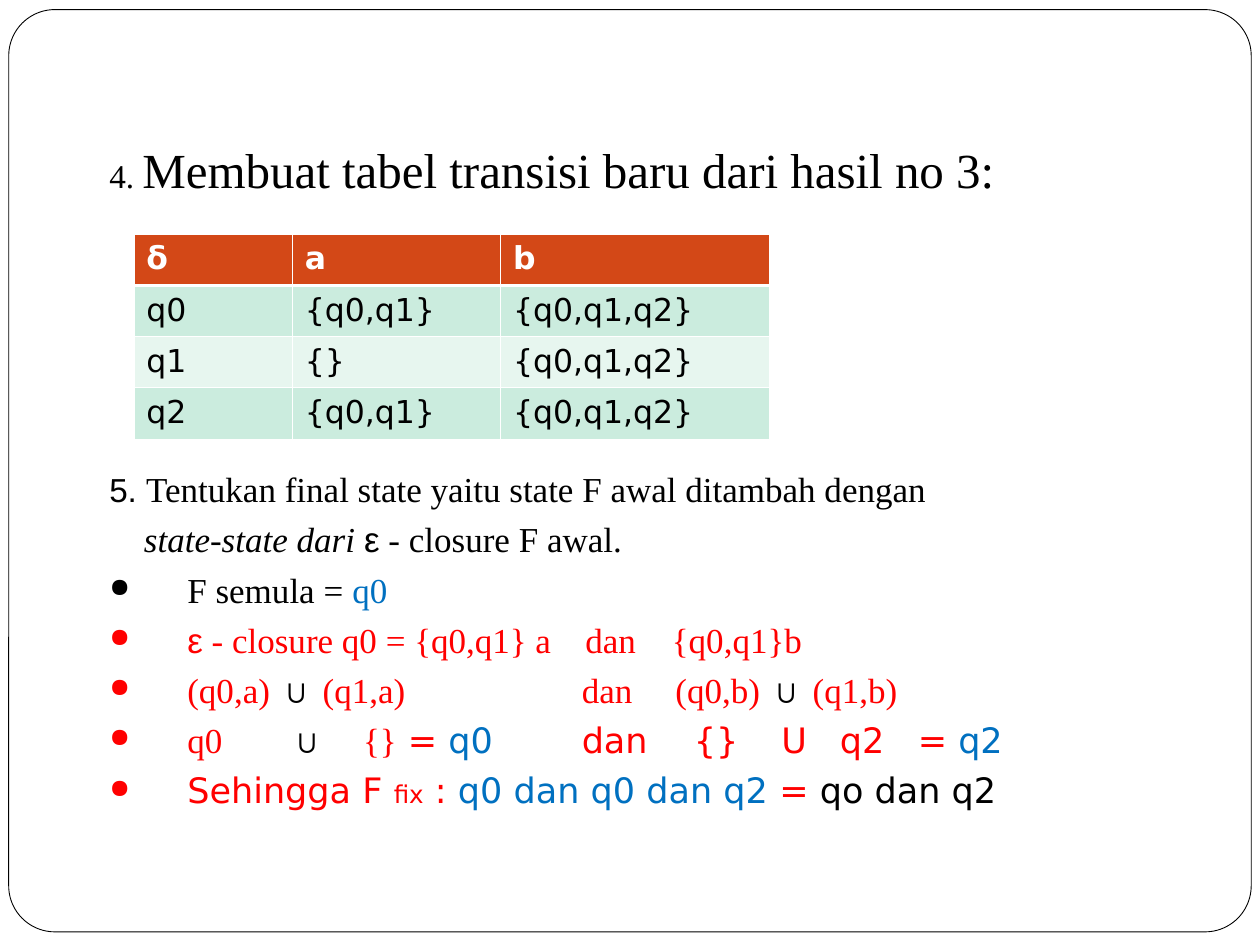
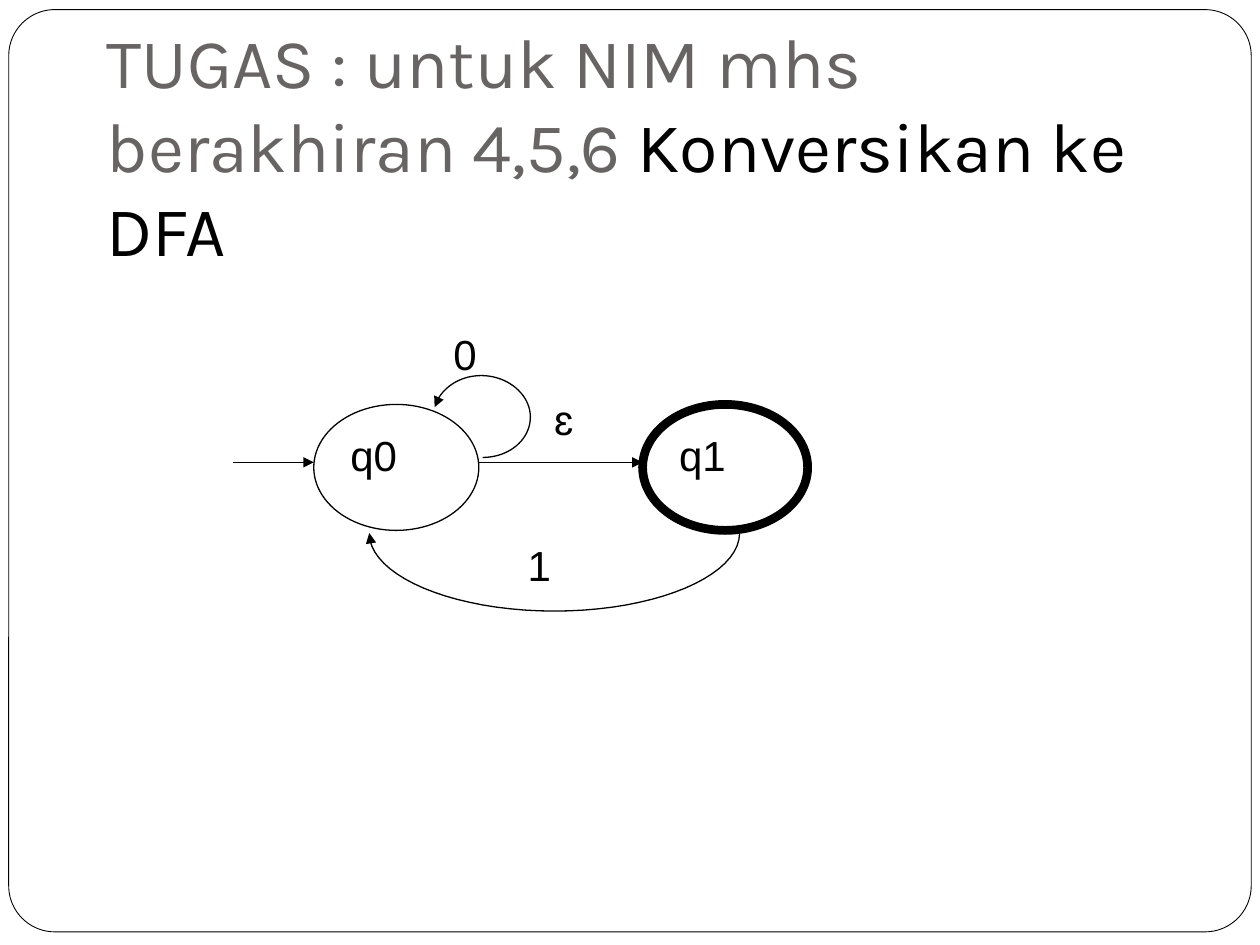
from pptx import Presentation
from pptx.dml.color import RGBColor
from pptx.enum.shapes import MSO_CONNECTOR, MSO_SHAPE
from pptx.enum.text import MSO_ANCHOR
from pptx.oxml import parse_xml
from pptx.oxml.ns import nsdecls
from pptx.oxml.xmlchemy import OxmlElement as Element
from pptx.util import Pt

BLACK = RGBColor(0x00, 0x00, 0x00)
WHITE = RGBColor(0xFF, 0xFF, 0xFF)
RED = RGBColor(0xFF, 0x00, 0x00)
BLUE = RGBColor(0x00, 0x70, 0xC0)
GRAY = RGBColor(0x69, 0x64, 0x64)
ORANGE = RGBColor(0xD3, 0x48, 0x17)
MINT = RGBColor(0xCB, 0xEC, 0xDE)
PALE_MINT = RGBColor(0xE7, 0xF6, 0xEF)
SERIF, SANS, WIDE, TITLE = "Times New Roman", "Arial", "DejaVu Sans", "Karla"


def add_text(paragraph, text, font=SERIF, size=20, color=BLACK, bold=False, italic=False):
    run = paragraph.add_run()
    run.text = text
    run.font.name = font
    run.font.size = Pt(size)
    run.font.color.rgb = color
    run.font.bold = bold
    run.font.italic = italic


def make_arrow(shape):
    shape.line.color.rgb = BLACK
    shape.line.width = Pt(0.75)
    tail = Element("a:tailEnd")
    tail.set("type", "triangle")
    shape.line._get_or_add_ln().append(tail)


presentation = Presentation()
presentation.slide_width, presentation.slide_height = Pt(720), Pt(540)

# Rounded frame shared by both slides
slides = []
for _ in range(2):
    slide = presentation.slides.add_slide(presentation.slide_layouts[6])
    frame = slide.shapes.add_shape(MSO_SHAPE.ROUNDED_RECTANGLE, Pt(5), Pt(5.5), Pt(710), Pt(527))
    frame.adjustments[0] = 0.05
    frame.shadow.inherit = False
    frame.fill.solid()
    frame.fill.fore_color.rgb = WHITE
    frame.line.color.rgb = BLACK
    frame.line.width = Pt(0.5)
    slides.append(slide)
table_slide, task_slide = slides

# Step 4 heading
heading = table_slide.shapes.add_textbox(Pt(55.4), Pt(76), Pt(634), Pt(40))
heading.text_frame.word_wrap = True
paragraph = heading.text_frame.paragraphs[0]
add_text(paragraph, "4. ", size=19)
add_text(paragraph, "Membuat tabel transisi baru dari hasil no 3:", size=28)

# Step 5: (left margin, first-line indent, bullet colour, tab stops, runs)
steps = [
    (44.6, -44.6, None, [], [
        ("5. ", dict(font=SANS, size=19)),
        ("Tentukan final state yaitu state F awal ditambah dengan", {})]),
    (19.8, 0, None, [], [
        ("state-state dari ", dict(italic=True)),
        ("ε", dict(font=SANS)),
        (" - closure F awal.", {})]),
    (44.6, -44.6, "000000", [], [
        ("F semula = ", {}),
        ("q0", dict(color=BLUE))]),
    (44.6, -44.6, "FF0000", [272, 321.5], [
        ("ε", dict(font=SANS, color=RED)),
        (" - closure q0 = {q0,q1} a\tdan\t{q0,q1}b", dict(color=RED))]),
    (44.6, -44.6, "FF0000", [270, 323.5], [
        ("(q0,a) ", dict(color=RED)),
        ("∪", {}),
        (" (q1,a)\tdan\t(q0,b) ", dict(color=RED)),
        ("∪", {}),
        (" (q1,b)", dict(color=RED))]),
    (44.6, -44.6, "FF0000", [103, 145, 270, 334, 384, 417.5, 462], [
        ("q0\t", dict(color=RED)),
        ("∪", {}),
        ("\t{}", dict(color=RED)),
        (" = ", dict(font=WIDE, color=RED)),
        ("q0\t", dict(font=WIDE, color=BLUE)),
        ("dan\t{}\tU\tq2\t= ", dict(font=WIDE, color=RED)),
        ("q2", dict(font=WIDE, color=BLUE))]),
    (44.6, -44.6, "FF0000", [], [
        ("Sehingga F ", dict(font=WIDE, color=RED)),
        ("fix", dict(font=WIDE, size=14, color=RED)),
        (" : ", dict(font=WIDE, color=RED)),
        ("q0 dan q0 dan q2 ", dict(font=WIDE, color=BLUE)),
        ("= ", dict(font=WIDE, color=RED)),
        ("qo dan q2", dict(font=WIDE))]),
]
body = table_slide.shapes.add_textbox(Pt(55.4), Pt(259), Pt(634), Pt(208)).text_frame
body.word_wrap = True
for index, (margin, indent, bullet_color, stops, runs) in enumerate(steps):
    paragraph = body.add_paragraph() if index else body.paragraphs[0]
    paragraph.line_spacing = Pt(28.7)
    properties = paragraph._p.get_or_add_pPr()
    properties.set("marL", str(Pt(margin)))
    properties.set("indent", str(Pt(indent)))
    if bullet_color:
        for xml in (f'<a:buClr {nsdecls("a")}><a:srgbClr val="{bullet_color}"/></a:buClr>',
                    f'<a:buSzPct {nsdecls("a")} val="75000"/>',
                    f'<a:buChar {nsdecls("a")} char="●"/>'):
            properties.append(parse_xml(xml))
    if stops:
        tab_list = Element("a:tabLst")
        for stop in stops:
            tab = Element("a:tab")
            tab.set("pos", str(Pt(stop)))
            tab.set("algn", "l")
            tab_list.append(tab)
        properties.append(tab_list)
    for text, style in runs:
        add_text(paragraph, text, **style)

# Transition table
transitions = [
    ("δ", "a", "b"),
    ("q0", "{q0,q1}", "{q0,q1,q2}"),
    ("q1", "{}", "{q0,q1,q2}"),
    ("q2", "{q0,q1}", "{q0,q1,q2}"),
]
row_fills = [ORANGE, MINT, PALE_MINT, MINT]
table = table_slide.shapes.add_table(4, 3, Pt(76.5), Pt(134), Pt(363), Pt(116.8)).table
for column, width in zip(table.columns, (90.5, 119, 153.5)):
    column.width = Pt(width)
for row_index, values in enumerate(transitions):
    table.rows[row_index].height = Pt(29.2)
    for column_index, value in enumerate(values):
        cell = table.cell(row_index, column_index)
        for side in "LRTB":
            under_header = (row_index, side) in ((0, "B"), (1, "T"))
            width = Pt(1.5 if under_header else 0.45)
            cell._tc.get_or_add_tcPr().append(parse_xml(
                f'<a:ln{side} {nsdecls("a")} w="{width}"><a:solidFill>'
                f'<a:srgbClr val="{WHITE}"/></a:solidFill></a:ln{side}>'))
        cell.fill.solid()
        cell.fill.fore_color.rgb = row_fills[row_index]
        is_header = row_index == 0
        add_text(cell.text_frame.paragraphs[0], value, font=WIDE, size=18,
                 color=WHITE if is_header else BLACK, bold=is_header)

# Task title
title = task_slide.shapes.add_textbox(Pt(54), Pt(21.6), Pt(612), Pt(140.4)).text_frame
title.word_wrap = True
title.vertical_anchor = MSO_ANCHOR.BOTTOM
title.margin_bottom = Pt(7.2)
add_text(title.paragraphs[0], "TUGAS : untuk NIM mhs berakhiran 4,5,6 ", font=TITLE, size=40, color=GRAY)
add_text(title.paragraphs[0], "Konversikan ke DFA", font=TITLE, size=40)

# Transition labels
for label, left, top in (("0", 252, 184.3), ("ɛ", 309.6, 221.5), ("1", 294.5, 304.6)):
    box = task_slide.shapes.add_textbox(Pt(left), Pt(top), Pt(39), Pt(42))
    box.fill.solid()
    box.fill.fore_color.rgb = WHITE
    box.text_frame.word_wrap = True
    add_text(box.text_frame.paragraphs[0], label, font=SANS, size=24)

# Curved transitions, each a start point and a chain of Bezier segments
self_loop = [(275.8, 261.4),
             [(290.9, 261.4), (303.1, 251.3), (303.1, 238.3)],
             [(303.1, 225.4), (290.2, 214.6), (275, 214.6)],
             [(262.1, 214.6), (251.3, 222.5), (248.4, 232.6)]]
return_arc = [(421.9, 299.5),
              [(421.9, 301.7), (422.6, 303.1), (422.6, 304.6)],
              [(422.6, 329), (375.1, 349.2), (316.8, 349.2)],
              [(258.5, 349.2), (211, 329), (211, 304.6)]]
STEPS = 20
for start, *segments in (self_loop, return_arc):
    points, current = [], start
    for segment in segments:
        controls = [current, *segment]
        for step in range(1, STEPS + 1):
            t = step / STEPS
            weights = ((1 - t) ** 3, 3 * t * (1 - t) ** 2, 3 * t ** 2 * (1 - t), t ** 3)
            points.append(tuple(Pt(sum(w * c[axis] for w, c in zip(weights, controls)))
                                for axis in (0, 1)))
        current = segment[-1]
    builder = task_slide.shapes.build_freeform(Pt(start[0]), Pt(start[1]))
    builder.add_line_segments(points, close=False)
    curve = builder.convert_to_shape()
    curve.shadow.inherit = False
    curve.fill.background()
    make_arrow(curve)

# States; the final state has a thick outline
for name, left, outline in (("q0", 179.3, 0.75), ("q1", 367.2, 5)):
    state = task_slide.shapes.add_shape(MSO_SHAPE.FLOWCHART_CONNECTOR,
                                        Pt(left), Pt(231.1), Pt(94.3), Pt(72))
    state.shadow.inherit = False
    state.fill.solid()
    state.fill.fore_color.rgb = WHITE
    state.line.color.rgb = BLACK
    state.line.width = Pt(outline)
    state.text_frame.vertical_anchor = MSO_ANCHOR.TOP
    paragraph = state.text_frame.paragraphs[0]
    paragraph.alignment = 1
    add_text(paragraph, name, font=SANS, size=24)

# Straight transitions
for start_x, end_x in ((133.2, 179.3), (273.6, 367.2)):
    arrow = task_slide.shapes.add_connector(MSO_CONNECTOR.STRAIGHT,
                                            Pt(start_x), Pt(264.2), Pt(end_x), Pt(264.2))
    make_arrow(arrow)
    arrow._element.spPr.append(Element("a:effectLst"))

presentation.save("out.pptx")
